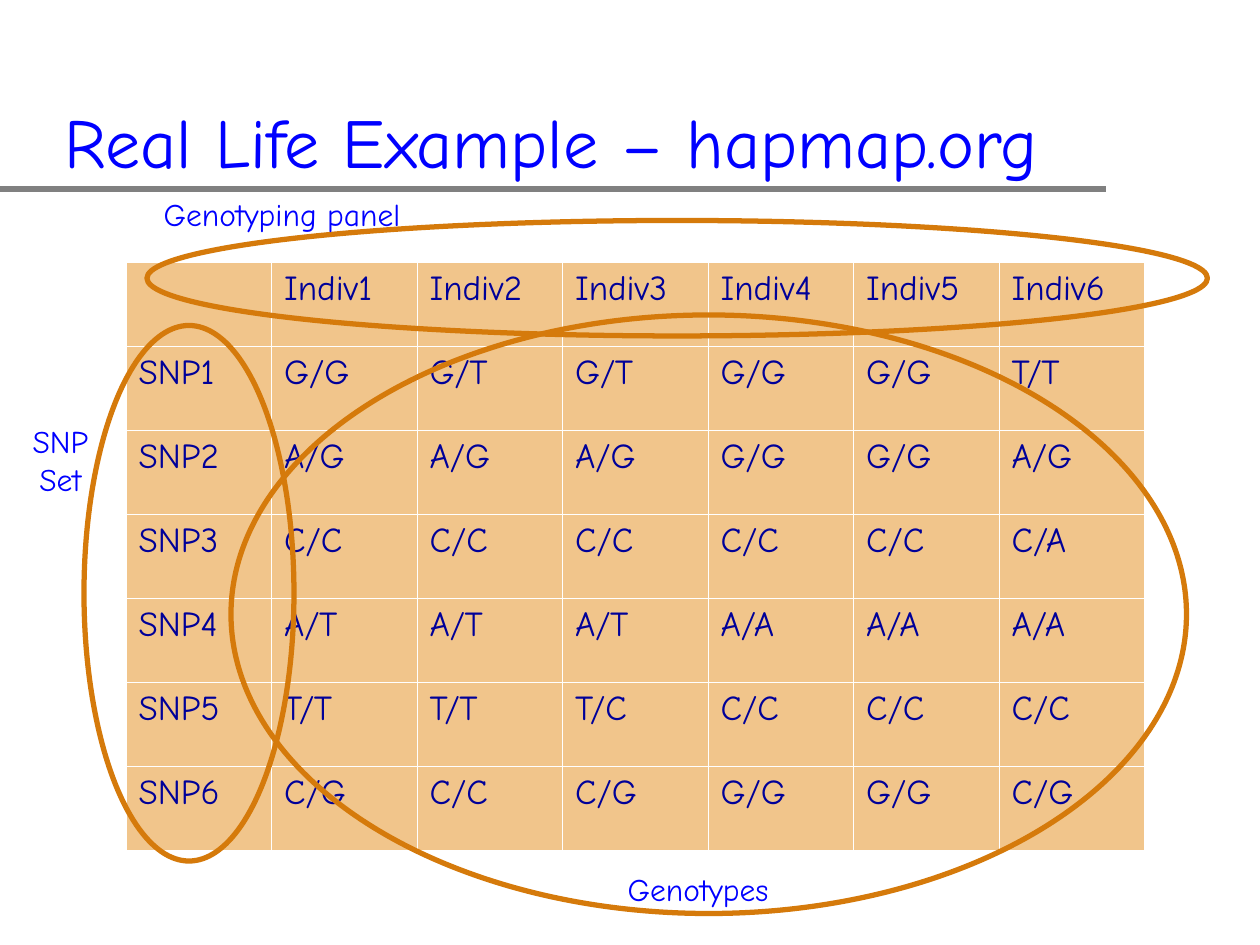
from lxml.etree import SubElement
from pptx import Presentation
from pptx.dml.color import RGBColor
from pptx.enum.shapes import MSO_CONNECTOR, MSO_SHAPE
from pptx.enum.text import MSO_ANCHOR, PP_ALIGN
from pptx.oxml.ns import qn
from pptx.util import Pt

FONT = "Comic Neue"
BLUE, NAVY, GRAY = "0000FF", "000099", "808080"
ORANGE, PEACH, WHITE = "D57A0B", "F1C58B", "FFFFFF"

GENOTYPES = [
    ["", "Indiv1", "Indiv2", "Indiv3", "Indiv4", "Indiv5", "Indiv6"],
    ["SNP1", "G/G", "G/T", "G/T", "G/G", "G/G", "T/T"],
    ["SNP2", "A/G", "A/G", "A/G", "G/G", "G/G", "A/G"],
    ["SNP3", "C/C", "C/C", "C/C", "C/C", "C/C", "C/A"],
    ["SNP4", "A/T", "A/T", "A/T", "A/A", "A/A", "A/A"],
    ["SNP5", "T/T", "T/T", "T/C", "C/C", "C/C", "C/C"],
    ["SNP6", "C/G", "C/C", "C/G", "G/G", "G/G", "C/G"],
]

ANNOTATIONS = [
    ("Genotyping panel", (84, 126, 606, 66), (2.4, -18, 150, 28.8), PP_ALIGN.LEFT),
    ("SNP\nSet", (48, 186, 120, 306), (-36.5, 51.6, 46, 50.4), PP_ALIGN.CENTER),
    ("Genotypes", (132, 180, 546, 342), (219.4, 313.9, 95, 28.8), PP_ALIGN.CENTER),
]


def rgb(value):
    """Return the colour for a hex string."""
    return RGBColor.from_string(value)


def set_text(tf, text, size, color, align=PP_ALIGN.LEFT):
    """Fill a text frame and format all of its runs."""
    tf.text = text
    for p in tf.paragraphs:
        p.alignment = align
        for r in p.runs:
            r.font.name = FONT
            r.font.size = Pt(size)
            r.font.color.rgb = rgb(color)


def add_title(s, box, text):
    """Place the title in its box with the gray rule under it."""
    x, y, w, h = box
    rule = s.shapes.add_connector(
        MSO_CONNECTOR.STRAIGHT, Pt(0), Pt(y + h), Pt(x + w - 10), Pt(y + h))
    rule.line.color.rgb = rgb(GRAY)
    rule.line.width = Pt(4)
    SubElement(rule._element.spPr, qn("a:effectLst"))
    tf = s.shapes.add_textbox(Pt(x), Pt(y), Pt(w), Pt(h)).text_frame
    tf.word_wrap = True
    tf.vertical_anchor = MSO_ANCHOR.BOTTOM
    set_text(tf, text, 40, BLUE)


def add_borders(cell, widths):
    """Draw white borders of the given left, right, top and bottom widths."""
    tcPr = cell._tc.get_or_add_tcPr()
    for side, width in zip("LRTB", widths):
        ln = SubElement(tcPr, qn(f"a:ln{side}"), w=str(Pt(width)))
        fill = SubElement(ln, qn("a:solidFill"))
        SubElement(fill, qn("a:srgbClr"), val=WHITE)


def add_genotype_table(s, box, rows):
    """Place the table with equal rows and columns and a heavier outer border."""
    x, y, w, h = box
    n, m = len(rows), len(rows[0])
    table = s.shapes.add_table(n, m, Pt(x), Pt(y), Pt(w), Pt(h)).table
    for column in table.columns:
        column.width = Pt(w / m)
    for i, values in enumerate(rows):
        table.rows[i].height = Pt(h / n)
        for j, value in enumerate(values):
            cell = table.cell(i, j)
            outer = (j == 0, j == m - 1, i == 0, i == n - 1)
            add_borders(cell, [1.08 if edge else 0.45 for edge in outer])
            cell.fill.solid()
            cell.fill.fore_color.rgb = rgb(PEACH)
            set_text(cell.text_frame, value, 20, NAVY)


def add_annotation(s, box, text, label, align):
    """Group an outlined ellipse with a label offset from its corner."""
    x, y, w, h = box
    dx, dy, lw, lh = label
    shapes = s.shapes.add_group_shape().shapes
    sp = shapes.add_shape(MSO_SHAPE.OVAL, Pt(x), Pt(y), Pt(w), Pt(h))
    sp.shadow.inherit = False
    sp.fill.background()
    sp.line.color.rgb = rgb(ORANGE)
    sp.line.width = Pt(3)
    tf = shapes.add_textbox(Pt(x + dx), Pt(y + dy), Pt(lw), Pt(lh)).text_frame
    tf.word_wrap = False
    set_text(tf, text, 18, BLUE, align)


def main():
    """Build the slide and save it."""
    prs = Presentation()
    prs.slide_width, prs.slide_height = Pt(720), Pt(540)
    s = prs.slides.add_slide(prs.slide_layouts[6])
    add_title(s, (30, 21, 612, 87), "Real Life Example – hapmap.org")
    add_genotype_table(s, (72, 150, 582, 336), GENOTYPES)
    for text, box, label, align in ANNOTATIONS:
        add_annotation(s, box, text, label, align)
    prs.save("out.pptx")


if __name__ == "__main__":
    main()
